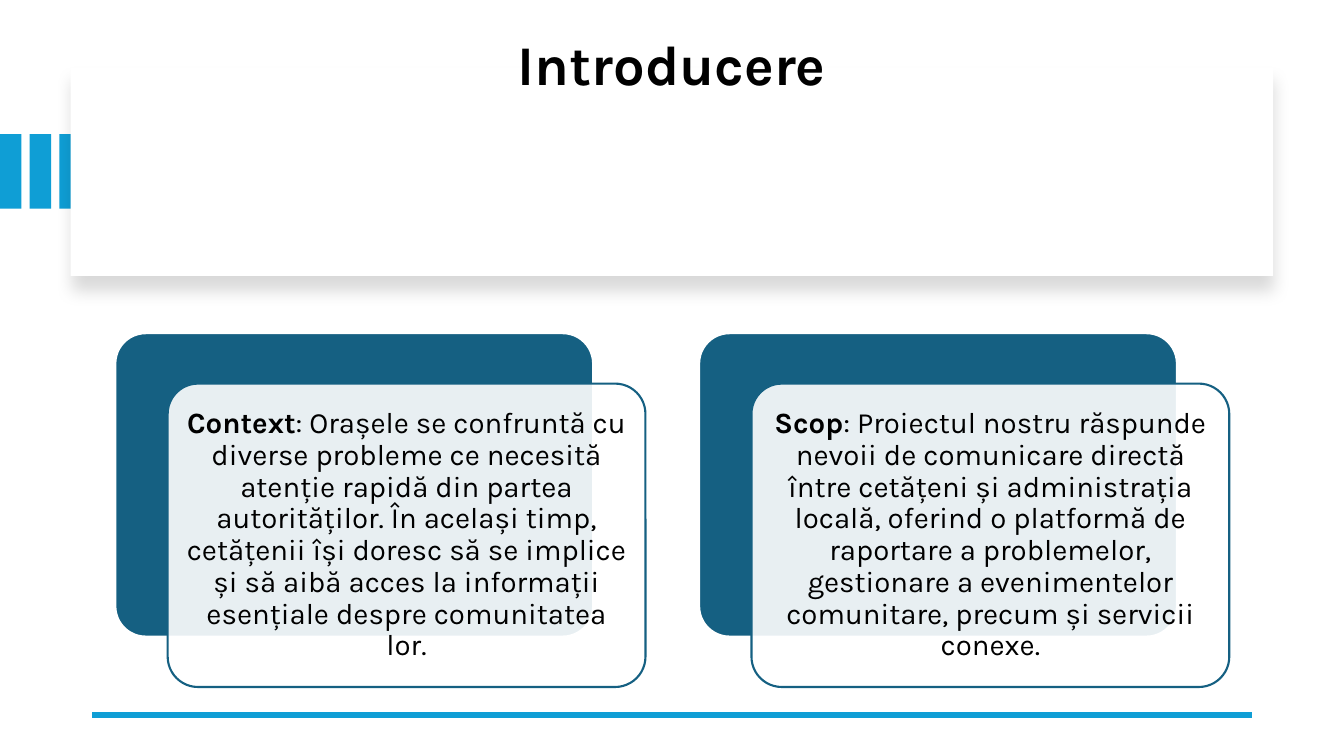
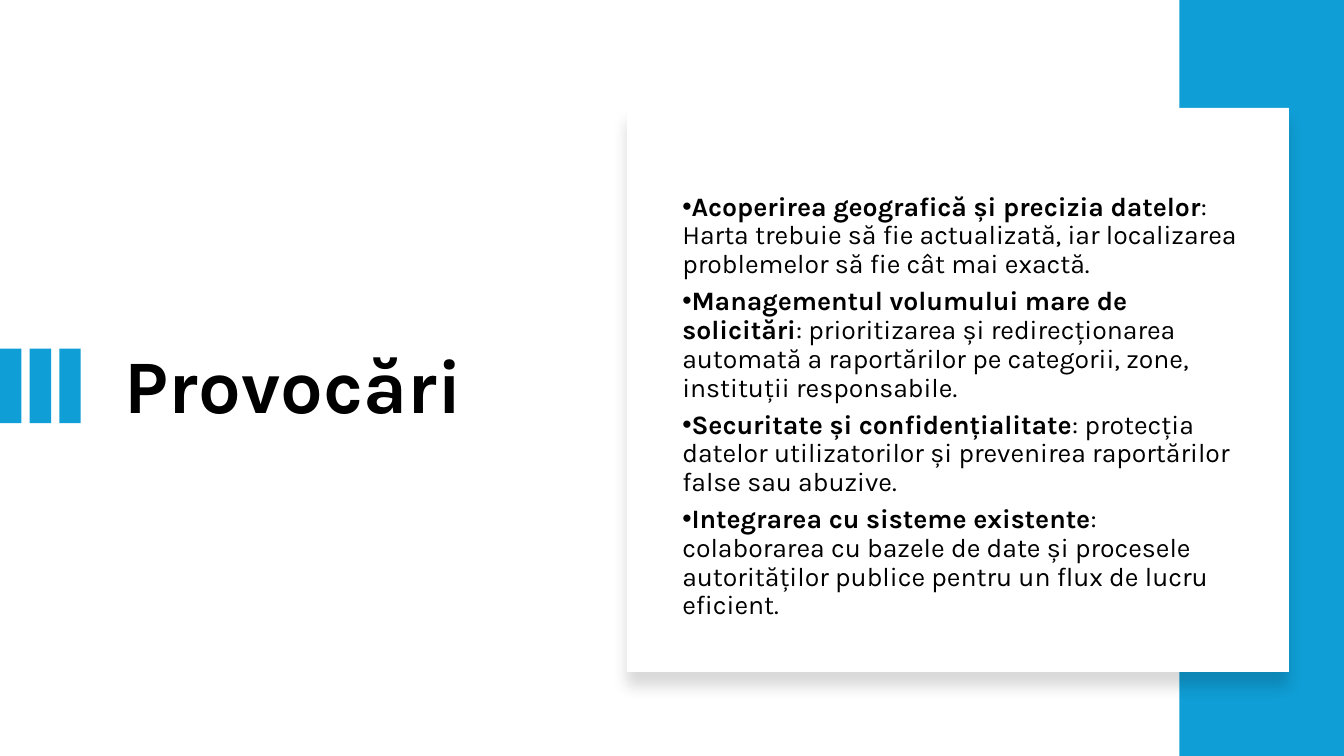
from lxml.etree import SubElement
from pptx import Presentation
from pptx.dml.color import RGBColor
from pptx.enum.shapes import MSO_CONNECTOR as Connector, MSO_SHAPE as Preset
from pptx.enum.text import MSO_ANCHOR as Anchor, MSO_AUTO_SIZE as AutoSize, PP_ALIGN as Align
from pptx.oxml.ns import qn
from pptx.util import Pt

BLUE = RGBColor(0x0F, 0x9E, 0xD5)
TEAL = RGBColor(0x15, 0x60, 0x82)
WHITE = RGBColor(0xFF, 0xFF, 0xFF)
BLACK = RGBColor(0x00, 0x00, 0x00)

TITLE_ONLY, TITLE_AND_LIST = 5, 1

CARDS = [
    ("Context", ": Orașele se confruntă cu diverse probleme ce necesită atenție rapidă din partea "
     "autorităților. În același timp, cetățenii își doresc să se implice și să aibă acces la "
     "informații esențiale despre comunitatea lor."),
    ("Scop", ": Proiectul nostru răspunde nevoii de comunicare directă între cetățeni și "
     "administrația locală, oferind o platformă de raportare a problemelor, gestionare a "
     "evenimentelor comunitare, precum și servicii conexe."),
]
CHALLENGES = [
    ("Acoperirea geografică și precizia datelor",
     ": Harta trebuie să fie actualizată, iar localizarea problemelor să fie cât mai exactă."),
    ("Managementul volumului mare de solicitări",
     ": prioritizarea și redirecționarea automată a raportărilor pe categorii, zone, "
     "instituții responsabile."),
    ("Securitate și confidențialitate",
     ": protecția datelor utilizatorilor și prevenirea raportărilor false sau abuzive."),
    ("Integrarea cu sisteme existente",
     ": colaborarea cu bazele de date și procesele autorităților publice pentru un flux de "
     "lucru eficient."),
]


def apply(target, values):
    for name, value in values.items():
        setattr(target, name, value)


class Deck:
    font = {"name": "Karla"}
    paragraph_format = {"space_before": Pt(0), "space_after": Pt(6)}
    frame_format = {"word_wrap": True, "auto_size": AutoSize.NONE}

    def __init__(self):
        self.presentation = Presentation()
        apply(self.presentation, {"slide_width": Pt(960), "slide_height": Pt(540)})
        self.slide = None

    def add_slide(self, layout):
        self.slide = self.presentation.slides.add_slide(self.presentation.slide_layouts[layout])

    def fill_text(self, frame, entries, size, align, spacing, anchor):
        apply(frame, {**self.frame_format, "vertical_anchor": anchor})
        for index, (strong, plain) in enumerate(entries):
            paragraph = frame.add_paragraph() if index else frame.paragraphs[0]
            apply(paragraph, {**self.paragraph_format, "alignment": align, "line_spacing": spacing})
            for text, bold in ((strong, True), (plain, False)):
                if text:
                    run = paragraph.add_run()
                    run.text = text
                    apply(run.font, {**self.font, "size": Pt(size), "bold": bold})
                    run.font.color.rgb = BLACK

    def placeholder(self, index, box):
        shape = self.slide.placeholders[index]
        apply(shape, dict(zip(("left", "top", "width", "height"), map(Pt, box))))
        self.slide.shapes.element.append(shape.element)
        return shape.text_frame

    def title(self, text, box, size, align=Align.LEFT, spacing=0.9, anchor=Anchor.MIDDLE):
        self.fill_text(self.placeholder(0, box), [(text, "")], size, align, spacing, anchor)

    def bullets(self, entries, box, size, top_inset):
        frame = self.placeholder(1, box)
        frame.margin_top = Pt(top_inset)
        self.fill_text(frame, entries, size, Align.LEFT, 0.9, Anchor.MIDDLE)
        for paragraph in frame.paragraphs:
            properties = paragraph._p.get_or_add_pPr()
            properties.set("marL", "0")
            properties.set("indent", str(-Pt(18)))
            SubElement(properties, qn("a:buChar"), char="•")

    def shape(self, box, fill, line=None, preset=Preset.RECTANGLE, parent=None):
        shape = (parent or self.slide).shapes.add_shape(preset, *map(Pt, box))
        shape.shadow.inherit = False
        shape.fill.solid()
        shape.fill.fore_color.rgb = fill
        if line is None:
            shape.line.fill.background()
        else:
            shape.line.color.rgb = line
            shape.line.width = Pt(1.5)
        return shape

    def tabs(self, top):
        group = self.slide.shapes.add_group_shape()
        for index in range(3):
            self.shape((index * 21.2, top, 15.3, 53.3), BLUE, parent=group)

    def panel(self, box):
        panel = self.shape(box, WHITE)
        effects = panel.element.spPr.find(qn("a:effectLst"))
        shadow = SubElement(effects, qn("a:outerShdw"), blurRad=str(Pt(11)), dist=str(Pt(10)),
                            dir="5400000", rotWithShape="0")
        color = SubElement(shadow, qn("a:srgbClr"), val=str(BLACK))
        SubElement(color, qn("a:alpha"), val="15000")

    def card(self, left, top, entry):
        width, height, shift = 341.3, 216.7, (37.4, 36)
        group = self.slide.shapes.add_group_shape()
        back = self.shape((left, top, width, height), TEAL, WHITE,
                          Preset.ROUNDED_RECTANGLE, group)
        front = self.shape((left + shift[0], top + shift[1], width, height), WHITE, TEAL,
                           Preset.ROUNDED_RECTANGLE, group)
        for shape in (back, front):
            shape.adjustments[0] = 0.1
        color = front.element.spPr.find(qn("a:solidFill"))[0]
        SubElement(color, qn("a:alpha"), val="90000")
        frame = front.text_frame
        apply(frame, dict.fromkeys(
            ("margin_left", "margin_top", "margin_right", "margin_bottom"), Pt(6.5)))
        self.fill_text(frame, [entry], 21, Align.CENTER, 0.9, Anchor.MIDDLE)

    def rule(self, left, right, y):
        line = self.slide.shapes.add_connector(
            Connector.STRAIGHT, Pt(right), Pt(y), Pt(left), Pt(y))
        line.line.color.rgb = BLUE
        line.line.width = Pt(4.5)
        SubElement(line._element.spPr, qn("a:effectLst"))


def main():
    deck = Deck()

    deck.add_slide(TITLE_ONLY)
    deck.tabs(95.8)
    deck.panel((50.4, 48.2, 859, 149))
    deck.rule(66, 894, 510.5)
    deck.title("Introducere", (228.2, 17.3, 503.3, 55.4), 40, Align.CENTER, 1.0, Anchor.TOP)
    for index, entry in enumerate(CARDS):
        deck.card(82.4 + index * 417, 238, entry)

    deck.add_slide(TITLE_AND_LIST)
    deck.title("Provocări", (82, 105, 306.7, 345), 54)
    deck.tabs(249)
    deck.shape((842.4, 0, 117.6, 540), BLUE)
    deck.panel((447.8, 77, 473, 403))
    deck.bullets(CHALLENGES, (480.2, 105, 414, 345), 19, 30)

    deck.presentation.save("out.pptx")


if __name__ == "__main__":
    main()
